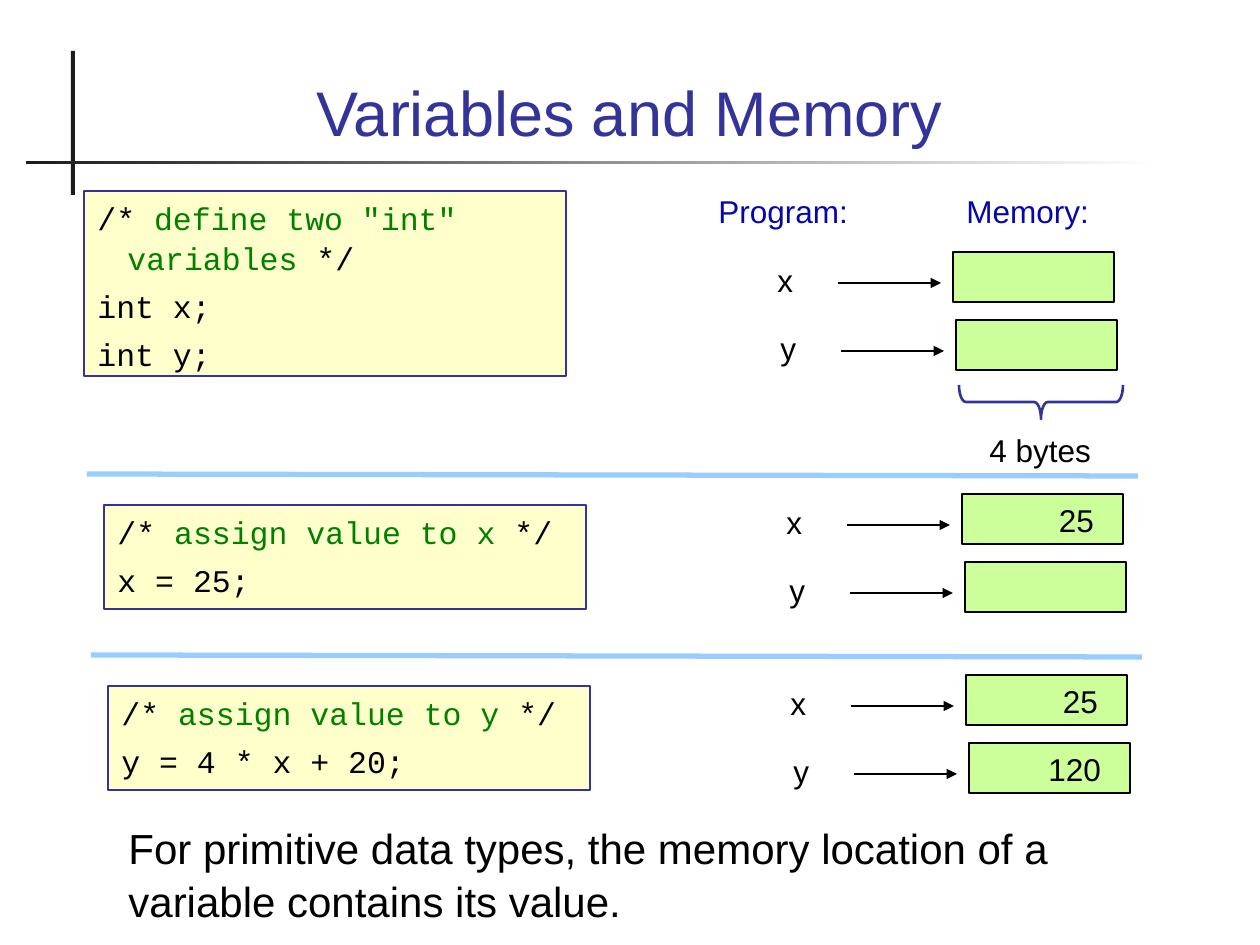
from lxml import etree
from pptx import Presentation
from pptx.dml.color import RGBColor
from pptx.enum.shapes import MSO_CONNECTOR, MSO_SHAPE
from pptx.enum.text import MSO_ANCHOR, PP_ALIGN
from pptx.oxml.ns import qn
from pptx.util import Pt

RECTANGLE, BRACE = MSO_SHAPE.RECTANGLE, MSO_SHAPE.RIGHT_BRACE
STRAIGHT = MSO_CONNECTOR.STRAIGHT
TOP, MIDDLE, BOTTOM = MSO_ANCHOR.TOP, MSO_ANCHOR.MIDDLE, MSO_ANCHOR.BOTTOM
LEFT, CENTER, RIGHT = PP_ALIGN.LEFT, PP_ALIGN.CENTER, PP_ALIGN.RIGHT
EMU_PER_PX = 914400 / 126
BLACK, NAVY, HEADING, COMMENT = "000000", "333399", "0707A9", "008000"
CODE_FILL, CELL_FILL, RULE, DARK, WHITE = "FFFFCC", "CCFF99", "99CCFF", "1C1C1C", "FFFFFF"
CELL_WIDTH, CELL_HEIGHT = 161, 50
ROW_SHIFT, ROW_PITCH = 3, 68


def px(length):
    """Turn pixels into EMU."""
    return round(length * EMU_PER_PX)


def color(value):
    """Turn a hex string into a colour."""
    return RGBColor.from_string(value)


def style_span(span, size, value, font="Arial"):
    """Set the font of one run."""
    span.font.size = Pt(size)
    span.font.name = font
    span.font.color.rgb = color(value)


def add_box(page, left, top, width, height, fill=None, line=None, preset=RECTANGLE, weight=0.75):
    """Add a preset shape with the given fill and outline."""
    box = page.shapes.add_shape(preset, px(left), px(top), px(width), px(height))
    box.shadow.inherit = False
    if fill:
        box.fill.solid()
        box.fill.fore_color.rgb = color(fill)
    else:
        box.fill.background()
    if line:
        box.line.color.rgb = color(line)
        box.line.width = Pt(weight)
    else:
        box.line.fill.background()
    return box


def write(box, text, size=18, value=BLACK, align=LEFT, anchor=TOP):
    """Write one paragraph into a box."""
    frame = box.text_frame
    frame.word_wrap = True
    frame.vertical_anchor = anchor
    frame.text = text
    para = frame.paragraphs[0]
    para.alignment = align
    para.line_spacing = 1.06
    style_span(para.runs[0], size, value)


def add_label(page, left, top, width, height, text, **style):
    """Add a text box holding one paragraph."""
    box = page.shapes.add_textbox(px(left), px(top), px(width), px(height))
    write(box, text, **style)


def add_line(page, start, end, value, weight, arrow=False):
    """Add a straight line, with an arrowhead at its end if asked."""
    line = page.shapes.add_connector(STRAIGHT, *map(px, start + end))
    line.line.color.rgb = color(value)
    line.line.width = Pt(weight)
    if arrow:
        outline = line.line._get_or_add_ln()
        etree.SubElement(outline, qn("a:tailEnd"), type="triangle")
    etree.SubElement(line._element.spPr, qn("a:effectLst"))


def add_header(page, left, top):
    """Draw the crossed bars and the title."""
    add_box(page, left + 45, top, 4, 144, DARK)
    bar = add_box(page, left, top + 110, 1133, 3, DARK)
    bar.fill.gradient()
    bar.fill.gradient_angle = 0
    for stop, value in zip(bar.fill.gradient_stops, (DARK, WHITE)):
        stop.color.rgb = color(value)
    add_label(page, left + 58, top - 15, 1091, 119, "Variables and Memory",
              size=36, value=NAVY, align=CENTER, anchor=BOTTOM)


def add_code(page, left, top, height, comment, statements):
    """Draw a code panel: one comment, then the statements."""
    box = add_box(page, left, top, 482, height, CODE_FILL, NAVY)
    frame = box.text_frame
    frame.word_wrap = True
    frame.vertical_anchor = TOP
    rows = [[("/* ", BLACK), (comment, COMMENT), (" */", BLACK)]]
    rows += [[(statement, BLACK)] for statement in statements]
    for index, row in enumerate(rows):
        para = frame.add_paragraph() if index else frame.paragraphs[0]
        para.alignment = LEFT
        para.line_spacing = 1.06
        if index:
            para.space_before = Pt(4.5)
        properties = para._p.get_or_add_pPr()
        properties.set("marL", str(px(31)))
        properties.set("indent", str(px(-30)))
        for text, value in row:
            span = para.add_run()
            span.text = text
            style_span(span, 18, value, "Courier New")


def add_memory(page, left, top, values):
    """Draw a name, an arrow and a memory cell for each variable."""
    for index, (name, value) in enumerate(values.items()):
        x, y = left + index * ROW_SHIFT, top + index * ROW_PITCH
        cell = add_box(page, x, y, CELL_WIDTH, CELL_HEIGHT, CELL_FILL, BLACK)
        if value:
            cell.text_frame.margin_right = px(29)
            write(cell, value, align=RIGHT, anchor=MIDDLE)
        add_label(page, x - 188, y + 1, 49, 50, name)
        add_line(page, (x - 115, y + 31), (x - 12, y + 31), BLACK, 0.75, arrow=True)


def add_size_note(page, left, top):
    """Draw the brace under the cells with the cell size below it."""
    depth, span = 34, 164
    brace = add_box(page, left + (span - depth) / 2, top - (span - depth) / 2,
                    depth, span, line=NAVY, preset=BRACE, weight=1.5)
    brace.adjustments[0] = 0.2
    brace.rotation = 90
    add_label(page, left + 18, top + 38, 135, 50, "4 bytes")


def main():
    """Build the slide and save it."""
    deck = Presentation()
    deck.slide_width, deck.slide_height = px(1260), px(945)
    page = deck.slides.add_slide(deck.slide_layouts[6])
    add_header(page, 26, 51)
    add_code(page, 84, 191, 185, 'define two "int" variables', ["int x;", "int y;"])
    for left, heading in ((706, "Program:"), (954, "Memory:")):
        add_label(page, left, 184, 160, 50, heading, value=HEADING)
    add_memory(page, 953, 252, {"x": "", "y": ""})
    add_size_note(page, 959, 385)
    stages = (
        ("assign value to x", "x = 25;", {"x": "25", "y": ""}),
        ("assign value to y", "y = 4 * x + 20;", {"x": "25", "y": "120"}),
    )
    for index, (comment, statement, values) in enumerate(stages):
        left, top = 87 + index * 4, 474 + index * 181
        add_line(page, (left, top), (left + 1051, top + 2), RULE, 3)
        add_code(page, left + 17, top + 31, 104, comment, [statement])
        add_memory(page, left + 875, top + 20, values)
    add_label(page, 116, 813, 1028, 113,
              "For primitive data types, the memory location of a variable contains its value.",
              size=24)
    deck.save("out.pptx")


if __name__ == "__main__":
    main()
